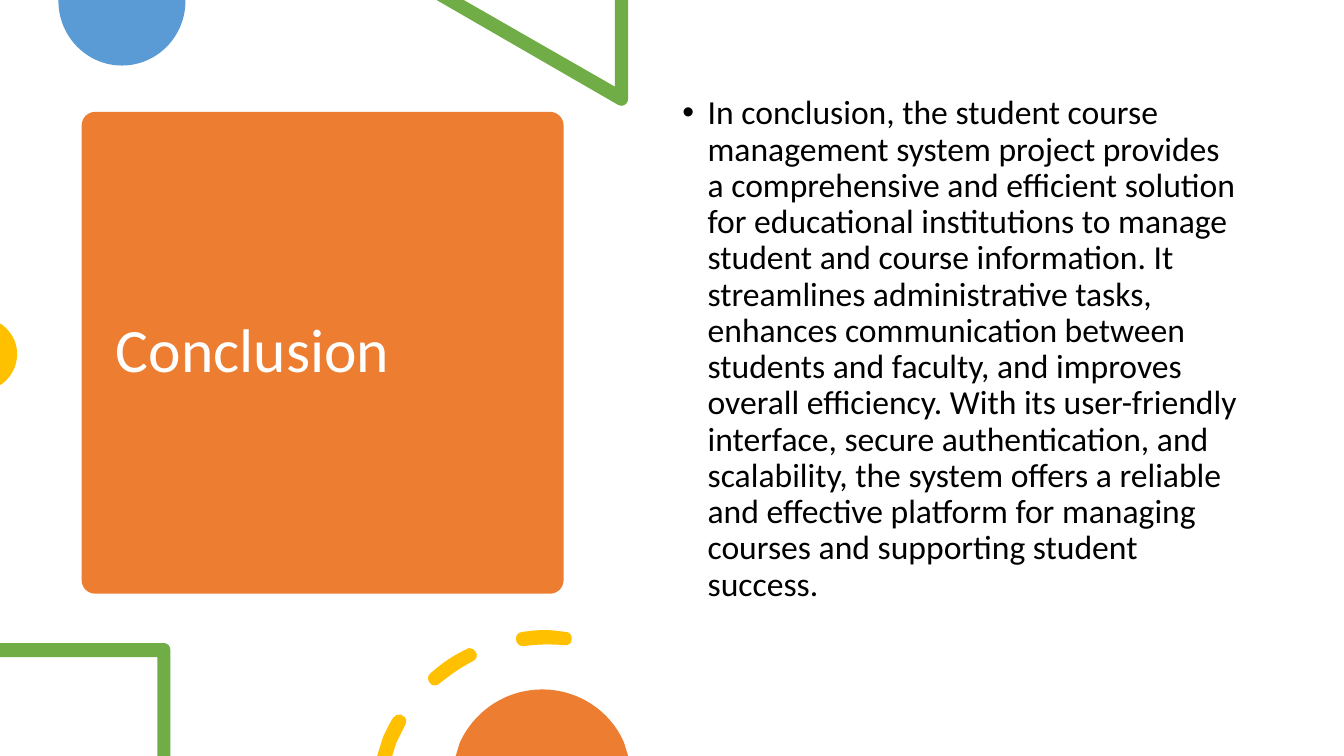
from lxml import etree
from pptx import Presentation
from pptx.dml.color import RGBColor
from pptx.enum import shapes, text
from pptx.oxml.ns import qn
from pptx.util import Inches, Pt

TITLE = "Conclusion"
BODY = (
    "In conclusion, the student course management system project provides a "
    "comprehensive and efficient solution for educational institutions to manage "
    "student and course information. It streamlines administrative tasks, enhances "
    "communication between students and faculty, and improves overall efficiency. "
    "With its user-friendly interface, secure authentication, and scalability, the "
    "system offers a reliable and effective platform for managing courses and "
    "supporting student success."
)

THEME = {
    "orange": RGBColor(0xED, 0x7D, 0x31),
    "blue": RGBColor(0x5B, 0x9B, 0xD5),
    "green": RGBColor(0x70, 0xAD, 0x47),
    "yellow": RGBColor(0xFF, 0xC0, 0x00),
    "white": RGBColor(0xFF, 0xFF, 0xFF),
    "black": RGBColor(0, 0, 0),
    "font": "Calibri",
    "title_size": Pt(44),
    "body_size": Pt(24),
}

# Each ornament is a colour and its contours, in inches. A pair is a corner;
# six numbers are a cubic curve: two control points and an end point.
BLUE_DISC = [[(1.84, 0), (0.58, 0), (0.58, 0.01), (0.58, 0.36, 0.86, 0.65, 1.21, 0.65),
              (1.56, 0.65, 1.84, 0.36, 1.84, 0.01)]]
GREEN_TRIANGLE = [[(6.23, 0), (6.1, 0), (6.1, 0.86), (4.6, 0), (4.33, 0), (6.13, 1.04),
                   (6.14, 1.05, 6.15, 1.05, 6.16, 1.05),
                   (6.2, 1.05, 6.23, 1.02, 6.23, 0.98)]]
YELLOW_DISC = [[(0, 3.21), (0, 3.82), (0.02, 3.81), (0.11, 3.74, 0.17, 3.64, 0.17, 3.51),
                (0.17, 3.39, 0.11, 3.29, 0.02, 3.22)]]
GREEN_SQUARE = [[(1.63, 6.38), (0, 6.38), (0, 6.52), (1.56, 6.52), (1.56, 7.5),
                 (1.69, 7.5), (1.69, 6.45), (1.69, 6.41, 1.66, 6.38, 1.63, 6.38)]]
YELLOW_DASHES = [
    [(3.97, 7.09), (3.94, 7.08, 3.92, 7.1, 3.9, 7.12), (3.86, 7.18, 3.83, 7.25, 3.8, 7.31),
     (3.74, 7.5), (3.89, 7.5), (3.93, 7.37), (3.96, 7.31, 3.99, 7.25, 4.02, 7.19),
     (4.04, 7.16, 4.03, 7.11, 3.99, 7.1), (3.99, 7.09, 3.98, 7.09, 3.97, 7.09)],
    [(4.65, 6.43), (4.65, 6.43, 4.64, 6.43, 4.63, 6.44), (4.5, 6.5, 4.38, 6.58, 4.27, 6.68),
     (4.24, 6.7, 4.24, 6.75, 4.26, 6.77), (4.27, 6.79, 4.29, 6.8, 4.31, 6.8), (4.31, 6.8),
     (4.33, 6.8, 4.35, 6.79, 4.36, 6.78), (4.46, 6.7, 4.57, 6.62, 4.69, 6.56),
     (4.73, 6.54, 4.74, 6.5, 4.72, 6.47), (4.71, 6.44, 4.68, 6.43, 4.65, 6.43)],
    [(5.4, 6.25), (5.32, 6.25, 5.25, 6.26, 5.18, 6.27), (5.14, 6.27, 5.11, 6.31, 5.12, 6.35),
     (5.12, 6.38, 5.15, 6.41, 5.19, 6.41), (5.19, 6.41, 5.19, 6.41, 5.2, 6.41),
     (5.33, 6.39, 5.46, 6.39, 5.6, 6.4), (5.63, 6.41, 5.67, 6.38, 5.67, 6.35),
     (5.68, 6.31, 5.65, 6.27, 5.62, 6.27), (5.62, 6.27, 5.61, 6.27, 5.61, 6.27),
     (5.54, 6.26, 5.47, 6.25, 5.4, 6.25)],
]
ORANGE_DISC = [[(5.38, 6.84), (5.01, 6.84, 4.7, 7.06, 4.56, 7.37), (4.52, 7.5), (6.23, 7.5),
                (6.19, 7.37), (6.06, 7.06, 5.74, 6.84, 5.38, 6.84)]]
UPPER_ORNAMENTS = [("blue", BLUE_DISC), ("green", GREEN_TRIANGLE), ("yellow", YELLOW_DISC)]
LOWER_ORNAMENTS = [("green", GREEN_SQUARE), ("yellow", YELLOW_DASHES), ("orange", ORANGE_DISC)]


def paint(shape, colour):
    shape.shadow.inherit = False
    shape.fill.solid()
    shape.fill.fore_color.rgb = THEME[colour]
    shape.line.fill.background()


def bend(shape, contours):
    """Replace the straight segments that stand for curves by cubic curves."""
    segments = list(shape._element.iter(qn("a:moveTo"), qn("a:lnTo")))
    steps = [step for contour in contours for step in contour]
    for segment, step in zip(segments, steps):
        if len(step) == 2:
            continue
        curve = etree.Element(qn("a:cubicBezTo"))
        for x, y in zip(step[::2], step[1::2]):
            etree.SubElement(curve, qn("a:pt"), x=str(Inches(x) - shape.left),
                             y=str(Inches(y) - shape.top))
        segment.getparent().replace(segment, curve)


def add_ornament(slide, colour, contours):
    first, *others = [[tuple(map(Inches, step[-2:])) for step in contour]
                      for contour in contours]
    builder = slide.shapes.build_freeform(*first[0])
    builder.add_line_segments(first[1:], close=True)
    for points in others:
        builder.move_to(*points[0])
        builder.add_line_segments(points[1:], close=True)
    ornament = builder.convert_to_shape()
    bend(ornament, contours)
    paint(ornament, colour)


def write(shape, content, size, colour, anchor):
    frame = shape.text_frame
    frame.text = content
    frame_format = {"word_wrap": True, "auto_size": text.MSO_AUTO_SIZE.NONE,
                    "vertical_anchor": anchor}
    for name, value in frame_format.items():
        setattr(frame, name, value)
    paragraph = frame.paragraphs[0]
    paragraph.alignment = text.PP_ALIGN.LEFT
    paragraph.line_spacing = 0.9
    font = paragraph.runs[0].font
    for name, value in {"name": THEME["font"], "size": size}.items():
        setattr(font, name, value)
    font.color.rgb = THEME[colour]
    return paragraph


def add_bullet(paragraph, indent):
    properties = paragraph._p.get_or_add_pPr()
    properties.set("marL", str(indent))
    properties.set("indent", str(-indent))
    etree.SubElement(properties, qn("a:buFont"), typeface="Arial")
    etree.SubElement(properties, qn("a:buChar"), char="•")


def main():
    presentation = Presentation()
    presentation.slide_width, presentation.slide_height = Inches(13.33), Inches(7.5)
    slide = presentation.slides.add_slide(presentation.slide_layouts[5])

    panel = slide.shapes.add_shape(
        shapes.MSO_SHAPE.ROUNDED_RECTANGLE, *map(Inches, (0.81, 1.11, 4.78, 4.78)))
    panel.adjustments[0] = 0.028
    paint(panel, "orange")

    title = slide.shapes.title
    place = {"left": 1.05, "top": 1.22, "width": 4.31, "height": 4.56}
    for name, value in place.items():
        setattr(title, name, Inches(value))
    write(title, TITLE, THEME["title_size"], "white", text.MSO_ANCHOR.MIDDLE)
    panel._element.addnext(title._element)  # the title lies on top of its panel

    for colour, contours in UPPER_ORNAMENTS:
        add_ornament(slide, colour, contours)

    body = slide.shapes.add_textbox(*map(Inches, (6.67, 0.9, 5.75, 5.35)))
    paragraph = write(body, BODY, THEME["body_size"], "black", text.MSO_ANCHOR.TOP)
    paragraph.space_before = Pt(10)
    add_bullet(paragraph, Inches(0.25))

    for colour, contours in LOWER_ORNAMENTS:
        add_ornament(slide, colour, contours)

    presentation.save("out.pptx")


if __name__ == "__main__":
    main()
